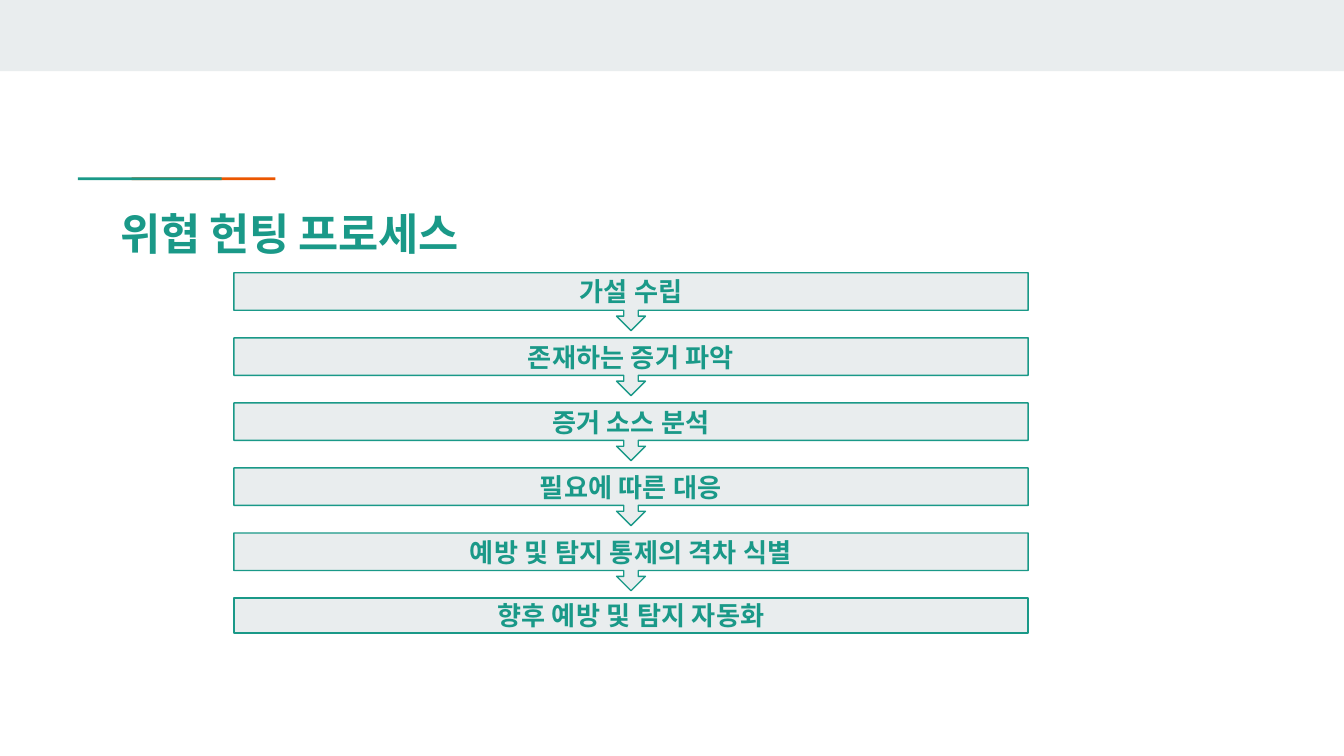
from lxml import etree
from pptx import Presentation
from pptx.dml.color import RGBColor
from pptx.enum.shapes import MSO_SHAPE
from pptx.enum.text import MSO_ANCHOR, PP_ALIGN
from pptx.oxml.ns import qn
from pptx.util import Inches, Pt

RECTANGLE = MSO_SHAPE.RECTANGLE
CALLOUT = MSO_SHAPE.DOWN_ARROW_CALLOUT
MIDDLE = MSO_ANCHOR.MIDDLE
CENTER = PP_ALIGN.CENTER
TEAL = "1A9988"
ORANGE = "EB5600"
PALE = "E9EDEE"


def add_block(kind, left, top, width, height, fill):
    block = slide.shapes.add_shape(
        kind, Inches(left), Inches(top), Inches(width), Inches(height))
    block.shadow.inherit = False
    block.fill.solid()
    block.fill.fore_color.rgb = RGBColor.from_string(fill)
    block.line.fill.background()
    return block


def write(frame, text, font, size):
    frame.word_wrap = True
    frame.margin_left = frame.margin_right = Inches(0.1)
    frame.margin_top = frame.margin_bottom = Inches(0.1)
    run = frame.paragraphs[0].add_run()
    run.text = text
    run.font.name = font
    run.font.size = Pt(size)
    run.font.bold = True
    run.font.color.rgb = RGBColor.from_string(TEAL)
    etree.SubElement(run._r.get_or_add_rPr(), qn("a:ea"), typeface=font)


prs = Presentation()
prs.slide_width = Inches(10)
prs.slide_height = Inches(10 * 9 / 16)
slide = prs.slides.add_slide(prs.slide_layouts[6])

add_block(RECTANGLE, 0, 0, 10, 0.53, PALE)
add_block(RECTANGLE, 0.98, 1.32, 1.07, 0.02, ORANGE)
add_block(RECTANGLE, 0.58, 1.32, 1.07, 0.02, TEAL)

title = slide.shapes.add_textbox(Inches(0.8), Inches(1.44), Inches(8.41), Inches(0.59))
write(title.text_frame, "위협 헌팅 프로세스", "Manrope", 23.4)

steps = [
    "가설 수립",
    "존재하는 증거 파악",
    "증거 소스 분석",
    "필요에 따른 대응",
    "예방 및 탐지 통제의 격차 식별",
    "향후 예방 및 탐지 자동화",
]
first_top = 2.03
pitch = (4.45 - first_top) / (len(steps) - 1)

for index, text in enumerate(steps):
    is_last = index == len(steps) - 1
    kind, height = (RECTANGLE, 0.26) if is_last else (CALLOUT, 0.43)
    step = add_block(kind, 1.74, first_top + index * pitch, 5.91, height, PALE)
    if not is_last:
        for position, ratio in enumerate([0.25, 0.25, 0.25, 0.65]):
            step.adjustments[position] = ratio
    step.line.color.rgb = RGBColor.from_string(TEAL)
    step.line.width = Pt(0.75)
    write(step.text_frame, text, "Lato", 14)
    step.text_frame.vertical_anchor = MIDDLE
    step.text_frame.paragraphs[0].alignment = CENTER

prs.save("out.pptx")
